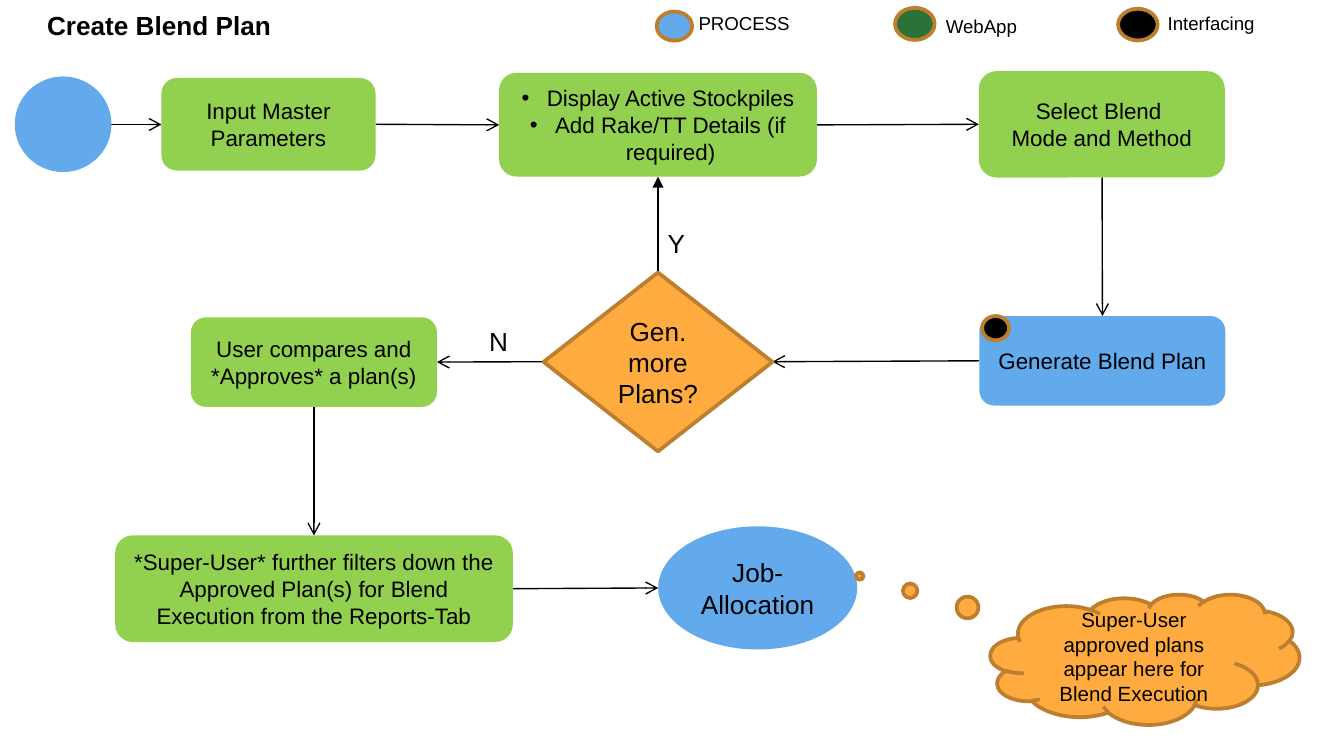
from dataclasses import dataclass
from typing import Optional

from lxml.etree import SubElement
from pptx import Presentation
from pptx.dml.color import RGBColor
from pptx.enum.shapes import MSO_CONNECTOR, MSO_SHAPE
from pptx.enum.text import MSO_ANCHOR, MSO_AUTO_SIZE, PP_ALIGN
from pptx.oxml.ns import qn
from pptx.util import Pt

BLACK = RGBColor(0x00, 0x00, 0x00)
BLUE = RGBColor(0x62, 0xAA, 0xEC)
GREEN = RGBColor(0x92, 0xD0, 0x50)
DARK = RGBColor(0x2C, 0x72, 0x38)
AMBER = RGBColor(0xFF, 0xAB, 0x40)
BROWN = RGBColor(0xBD, 0x7F, 0x2F)
FONT = "Arial"

ROUND = MSO_SHAPE.ROUNDED_RECTANGLE
OVAL = MSO_SHAPE.OVAL


@dataclass
class Node:
    x: float
    y: float
    w: float
    h: float
    fill: RGBColor
    lines: tuple[str, ...] = ()
    kind: MSO_SHAPE = ROUND
    size: float = 12
    edge: Optional[RGBColor] = None
    dots: bool = False
    tip: tuple[float, ...] = ()


@dataclass
class Label:
    x: float
    y: float
    w: float
    h: float
    text: str
    size: float


@dataclass
class Arrow:
    x1: float
    y1: float
    x2: float
    y2: float
    head: str = "arrow"


NODES = [
    # Top row
    Node(7.9, 41, 51.8, 51.2, BLUE, kind=OVAL),
    Node(86.5, 41.8, 114.7, 49.6, GREEN, ("Input Master Parameters",)),
    Node(267.4, 39, 170.3, 55.6, GREEN,
         ("Display Active Stockpiles", "Add Rake/TT Details (if required)"),
         dots=True),
    Node(524.4, 38.1, 131.8, 57, GREEN, ("Select Blend ", "Mode and Method")),
    # Middle row
    Node(524.7, 169.3, 131.8, 48, BLUE, ("Generate Blend Plan",)),
    Node(102.3, 170, 131.8, 48, GREEN,
         ("User compares and *Approves* a plan(s)",)),
    Node(291.2, 146, 122.6, 95.8, AMBER, ("Gen. more Plans?",),
         MSO_SHAPE.DIAMOND, 14, BROWN),
    # Bottom row
    Node(61.7, 286.8, 213.1, 57.2, GREEN,
         ("*Super-User* further filters down the Approved Plan(s) "
          "for Blend Execution from the Reports-Tab",)),
    Node(352.6, 282, 106.6, 66, BLUE, ("Job-Allocation",), OVAL, 14),
    Node(530.6, 318.4, 165.6, 69.8, AMBER,
         ("Super-User approved plans appear here for Blend Execution",),
         MSO_SHAPE.CLOUD_CALLOUT, 11, BROWN, tip=(-0.923, -0.64)),
    # Legend dots and interface marker
    Node(351.8, 6.2, 19, 15.6, BLUE, kind=OVAL, edge=BROWN),
    Node(479.5, 4.2, 21.2, 17.2, DARK, kind=OVAL, edge=BROWN),
    Node(599, 4.7, 21.2, 17, BLACK, kind=OVAL, edge=BROWN),
    Node(526.2, 169.3, 14.4, 13, BLACK, kind=OVAL, edge=BROWN),
]

LABELS = [
    Label(367.2, 3, 77, 19.4, "PROCESS", 10),
    Label(499.7, 4.3, 90.7, 19.4, "WebApp", 10),
    Label(618.5, 2.9, 64, 19.4, "Interfacing", 10),
    Label(350.6, 118.1, 41.8, 24.5, "Y", 14),
    Label(254.9, 170.6, 41.8, 24.5, "N", 14),
]

ARROWS = [
    Arrow(59.7, 66.7, 86.5, 66.7),
    Arrow(201.2, 66.6, 267.4, 66.9),
    Arrow(437.7, 66.9, 524.4, 66.6),
    Arrow(590.4, 95.1, 590.6, 169.3),
    Arrow(524.7, 193.3, 413.8, 193.8),
    Arrow(291.2, 193.8, 234.1, 194),
    Arrow(352.5, 146, 352.5, 94.6, "triangle"),
    Arrow(168.2, 218, 168.2, 286.8),
    Arrow(274.8, 315.4, 352.6, 315),
]


def write(para, text: str, size: float, bold: bool = False) -> None:
    run = para.add_run()
    run.text = text
    font = run.font
    font.name, font.size, font.bold = FONT, Pt(size), bold
    font.color.rgb = BLACK


def dot(para) -> None:
    props = para._p.get_or_add_pPr()
    props.set("marL", str(Pt(13.5)))
    props.set("indent", str(-Pt(13.5)))
    SubElement(props, qn("a:buFont")).set("typeface", FONT)
    SubElement(props, qn("a:buChar")).set("char", "•")


def draw_node(slide, node: Node) -> None:
    shape = slide.shapes.add_shape(
        node.kind, Pt(node.x), Pt(node.y), Pt(node.w), Pt(node.h))
    shape.shadow.inherit = False
    shape.fill.solid()
    shape.fill.fore_color.rgb = node.fill
    if node.edge is None:
        shape.line.fill.background()
    else:
        shape.line.color.rgb = node.edge
        shape.line.width = Pt(2)
    for i, value in enumerate(node.tip):
        shape.adjustments[i] = value
    frame = shape.text_frame
    frame.word_wrap = True
    frame.vertical_anchor = MSO_ANCHOR.MIDDLE
    for i, text in enumerate(node.lines):
        para = frame.add_paragraph() if i else frame.paragraphs[0]
        para.alignment = PP_ALIGN.CENTER
        if node.dots:
            dot(para)
        write(para, text, node.size)


def draw_label(slide, label: Label) -> None:
    box = slide.shapes.add_textbox(
        Pt(label.x), Pt(label.y), Pt(label.w), Pt(label.h))
    box.text_frame.word_wrap = True
    write(box.text_frame.paragraphs[0], label.text, label.size)


def draw_arrow(slide, arrow: Arrow) -> None:
    line = slide.shapes.add_connector(
        MSO_CONNECTOR.STRAIGHT, Pt(arrow.x1), Pt(arrow.y1),
        Pt(arrow.x2), Pt(arrow.y2))
    line.line.color.rgb = BLACK
    line.line.width = Pt(0.75)
    SubElement(line.line._get_or_add_ln(), qn("a:tailEnd")).set(
        "type", arrow.head)
    SubElement(line._element.spPr, qn("a:effectLst"))


def draw_title(slide, text: str) -> None:
    title = slide.shapes.title
    title.left, title.top = Pt(18), Pt(1.6)
    title.width, title.height = Pt(138.2), Pt(24.5)
    frame = title.text_frame
    frame.auto_size = MSO_AUTO_SIZE.NONE
    frame.word_wrap = False
    frame.vertical_anchor = MSO_ANCHOR.TOP
    para = frame.paragraphs[0]
    para.alignment = PP_ALIGN.LEFT
    write(para, text, 14, bold=True)


def main() -> None:
    deck = Presentation()
    deck.slide_width, deck.slide_height = Pt(720), Pt(405)
    slide = deck.slides.add_slide(deck.slide_layouts[5])
    draw_title(slide, "Create Blend Plan")
    for arrow in ARROWS:
        draw_arrow(slide, arrow)
    for node in NODES:
        draw_node(slide, node)
    for label in LABELS:
        draw_label(slide, label)
    deck.save("out.pptx")


if __name__ == "__main__":
    main()
